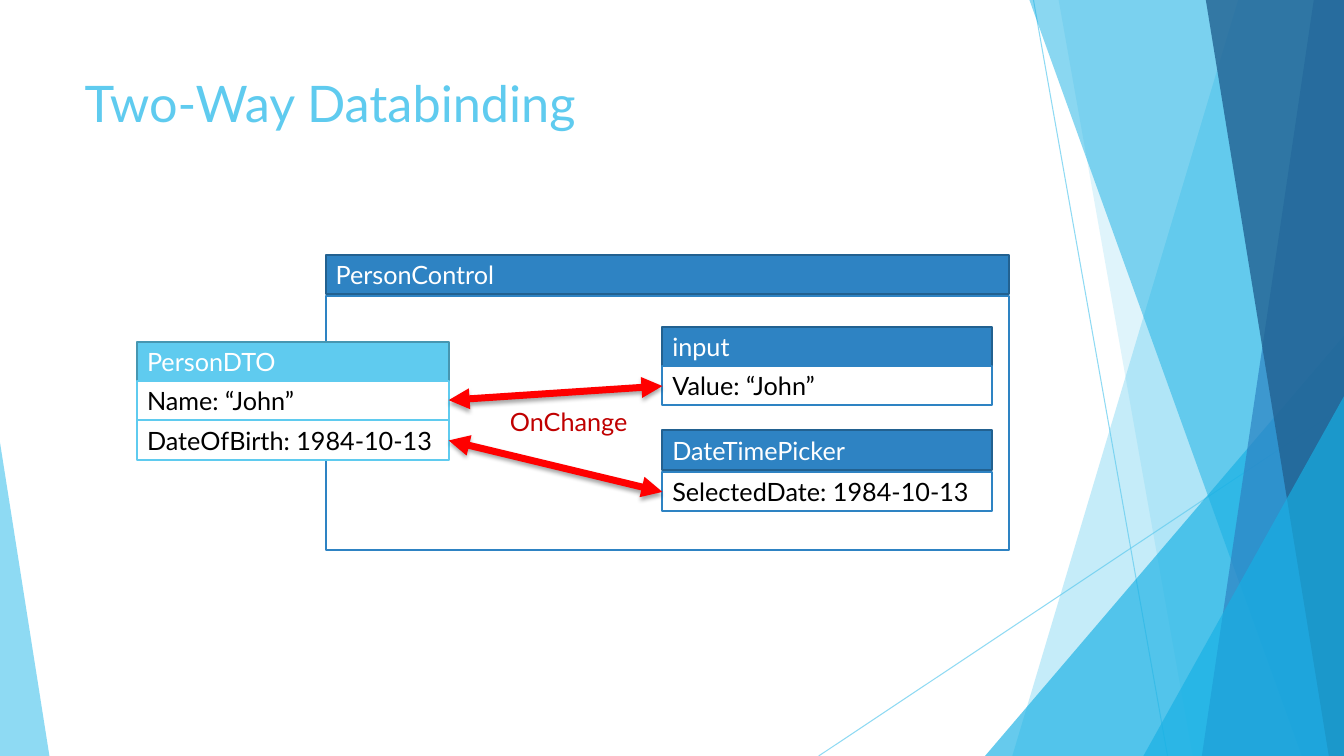
from lxml.etree import SubElement as Sub
from pptx import Presentation as Deck
from pptx.dml.color import RGBColor as Rgb
from pptx.enum.shapes import MSO_CONNECTOR as Conn, MSO_SHAPE as Kind
from pptx.enum.text import MSO_ANCHOR as Anchor, PP_ALIGN as Align
from pptx.oxml.ns import qn
from pptx.util import Inches, Pt

HUES = {
    "sky": "5FCBEF", "cyan": "17B0E4", "blue": "2E83C3", "navy": "226292",
    "edge": "226190", "teal": "4696B1", "red": "FF0000", "dark": "C00000",
    "white": "FFFFFF", "black": "000000",
}
WIDE, HIGH, ROW = 13.33, 7.5, 0.39


class Pen:
    """Draws styled elements on the current slide."""

    def __init__(self, slide, font="Lato"):
        self.shapes = slide.shapes
        self.font = font

    def hue(self, name):
        return Rgb.from_string(HUES[name])

    def fade(self, shape, alpha):
        for tint in shape._element.spPr.iter(qn("a:srgbClr")):
            Sub(tint, qn("a:alpha"), val=str(alpha * 1000))

    def paint(self, shape, fill, alpha=100, line=None):
        shape.shadow.inherit = False
        shape.fill.solid()
        shape.fill.fore_color.rgb = self.hue(fill)
        if line:
            shape.line.color.rgb = self.hue(line)
            shape.line.width = Pt(1.5)
        else:
            shape.line.fill.background()
        if alpha < 100:
            self.fade(shape, alpha)

    def letter(self, shape, text, color, size=18, anchor=Anchor.TOP):
        frame = shape.text_frame
        frame.word_wrap = True
        frame.vertical_anchor = anchor
        para = frame.paragraphs[0]
        para.alignment = Align.LEFT
        run = para.add_run()
        run.text = text
        run.font.name = self.font
        run.font.size = Pt(size)
        run.font.color.rgb = self.hue(color)

    def label(self, text, spot, color, size=18):
        box = self.shapes.add_textbox(*map(Inches, spot))
        self.letter(box, text, color, size)

    def box(self, spot, fill, line, text=None, color="black"):
        rect = self.shapes.add_shape(Kind.RECTANGLE, *map(Inches, spot))
        self.paint(rect, fill, line=line)
        if text:
            self.letter(rect, text, color, anchor=Anchor.MIDDLE)

    def card(self, left, width, tops, texts, fill, edge):
        for i, (top, text) in enumerate(zip(tops, texts)):
            spot = (left, top, width, ROW)
            if i == 0:
                self.box(spot, fill, edge, text, "white")
            else:
                self.box(spot, "white", fill, text)

    def band(self, top, foot, fill, alpha):
        pts = [(top, 0), (WIDE, 0), (WIDE, HIGH), (foot, HIGH)]
        pts = [(Inches(x), Inches(y)) for x, y in pts]
        form = self.shapes.build_freeform(*pts[0])
        form.add_line_segments(pts[1:], close=True)
        self.paint(form.convert_to_shape(), fill, alpha)

    def wedge(self, left, top, width, tip, fill, alpha):
        spot = (left, top, width, HIGH - top)
        tri = self.shapes.add_shape(Kind.ISOSCELES_TRIANGLE, *map(Inches, spot))
        tri.adjustments[0] = tip
        self.paint(tri, fill, alpha)

    def line(self, ends, color, width):
        link = self.shapes.add_connector(Conn.STRAIGHT, *map(Inches, ends))
        link.line.color.rgb = self.hue(color)
        link.line.width = Pt(width)
        return link, Sub(link._element.spPr, qn("a:effectLst"))

    def thread(self, *ends):
        link, _ = self.line(ends, "sky", 0.75)
        self.fade(link, 70)

    def arrow(self, *ends):
        link, glow = self.line(ends, "red", 5)
        stroke = link._element.spPr.find(qn("a:ln"))
        for end in ("a:headEnd", "a:tailEnd"):
            Sub(stroke, qn(end), type="triangle")
        shade = Sub(glow, qn("a:outerShdw"), blurRad=str(Pt(3)),
                    dist=str(Pt(2)), dir="5400000", rotWithShape="0")
        tint = Sub(shade, qn("a:srgbClr"), val=HUES["black"])
        Sub(tint, qn("a:alpha"), val="35000")


def main():
    deck = Deck()
    deck.slide_width, deck.slide_height = Inches(WIDE), Inches(HIGH)
    pen = Pen(deck.slides.add_slide(deck.slide_layouts[6]))

    pen.thread(10.25, 0, 11.58, HIGH)
    pen.thread(WIDE, 4.03, 8.12, HIGH)
    pen.band(12.28, 10.04, "sky", 36)
    pen.band(10.5, 11.83, "sky", 20)
    pen.wedge(9.77, 3.33, 3.56, 1, "cyan", 66)
    pen.band(10.21, 12.91, "cyan", 50)
    pen.band(13.03, 11.92, "blue", 70)
    pen.band(11.96, 13.18, "navy", 80)
    pen.wedge(11.34, 3.93, 1.99, 1, "cyan", 66)
    pen.wedge(0, 4.39, 0.49, 0, "sky", 70)

    pen.label("Two-Way Databinding", (0.74, 0.67, 11.4, 1.44), "sky", 36)
    pen.card(3.23, 6.78, [2.53], ["PersonControl"], "blue", "edge")
    pen.box((3.23, 2.94, 6.78, 2.52), "white", "blue")
    pen.card(1.36, 3.09, [3.39 + ROW * i for i in range(3)],
             ["PersonDTO", "Name: “John”", "DateOfBirth: 1984-10-13"],
             "sky", "teal")
    pen.card(6.57, 3.27, [3.24, 3.63], ["input", "Value: “John”"],
             "blue", "edge")
    pen.card(6.57, 3.27, [4.27, 4.68],
             ["DateTimePicker", "SelectedDate: 1984-10-13"], "blue", "edge")
    pen.arrow(4.45, 4.37, 6.57, 4.88)
    pen.arrow(4.45, 3.97, 6.57, 3.83)
    pen.label("OnChange", (4.96, 3.98, 1.67, 0.4), "dark")
    deck.save("out.pptx")


if __name__ == "__main__":
    main()
